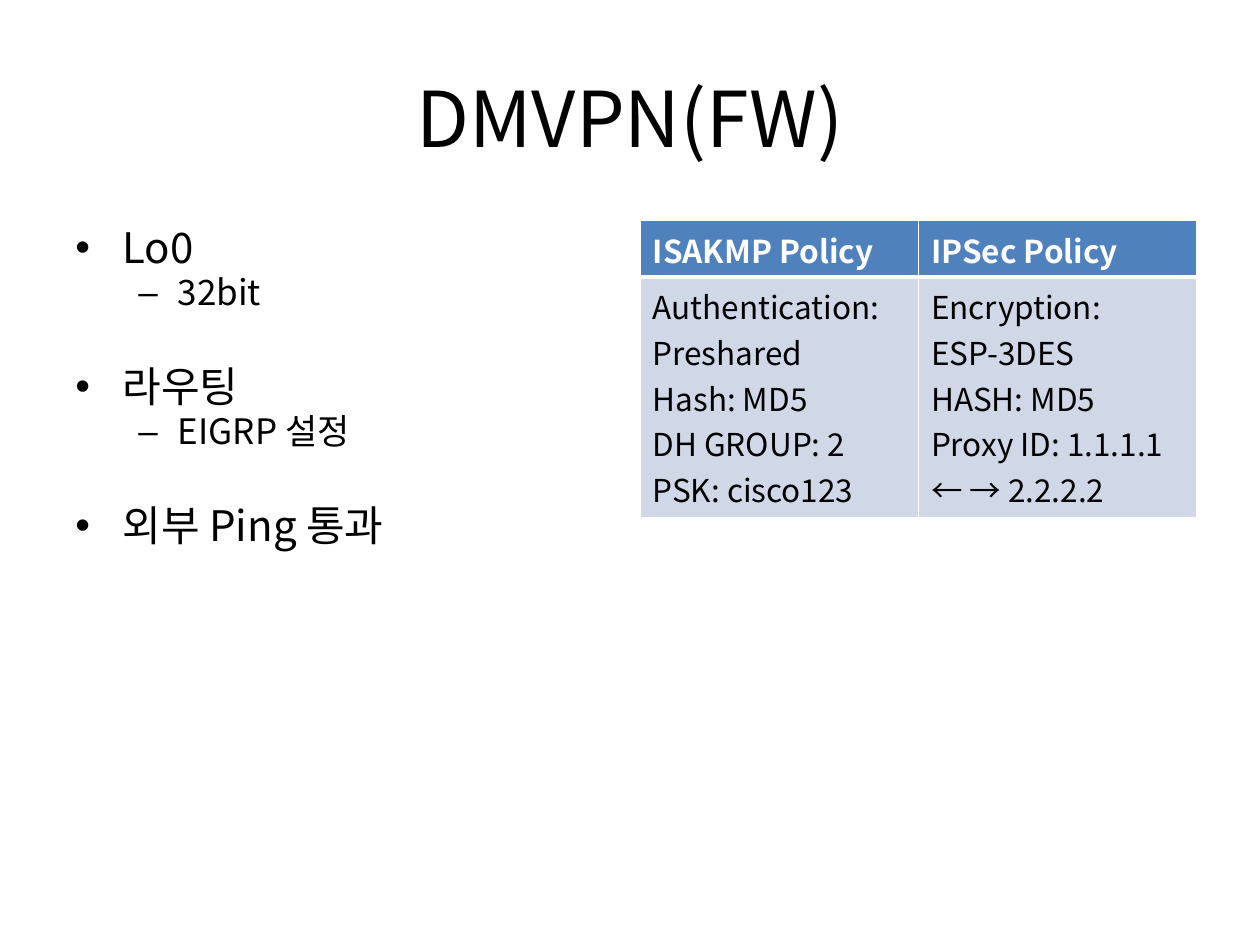
from lxml import etree
from pptx import Presentation
from pptx.dml.color import RGBColor
from pptx.enum.text import MSO_ANCHOR, PP_ALIGN
from pptx.oxml.ns import qn
from pptx.util import Emu, Inches, Pt

BLACK = RGBColor(0x00, 0x00, 0x00)
WHITE = RGBColor(0xFF, 0xFF, 0xFF)
BLUE = RGBColor(0x4F, 0x81, 0xBD)
PALE = RGBColor(0xD0, 0xD8, 0xE8)

# Per outline level: size, bullet, left margin and hanging indent in inches
LEVELS = [(24, "•", 0.375, 0.375), (20, "–", 0.8125, 0.3125)]
SECTION_GAP = 30

TOPICS = [("Lo0", ["32bit"]), ("라우팅", ["EIGRP 설정"]), ("외부 Ping 통과", [])]
POLICIES = [
    ("ISAKMP Policy", ["Authentication: Preshared", "Hash: MD5",
                       "DH GROUP: 2", "PSK: cisco123"]),
    ("IPSec Policy", ["Encryption: ESP-3DES", "HASH: MD5",
                      "Proxy ID: 1.1.1.1 ← → 2.2.2.2"]),
]


class Deck:
    font = "Noto Sans CJK KR"

    def __init__(self, width, height):
        self.prs = Presentation()
        self.prs.slide_width, self.prs.slide_height = Inches(width), Inches(height)
        self.s = self.prs.slides.add_slide(self.prs.slide_layouts[6])

    def place(self, x, y, w, h):
        """Turn shares of the slide into lengths."""
        sw, sh = self.prs.slide_width, self.prs.slide_height
        return [Emu(round(n)) for n in (x * sw, y * sh, w * sw, h * sh)]

    def style(self, p, size, color=BLACK, bold=False):
        for r in p.runs:
            f = r.font
            f.name, f.size, f.bold = self.font, Pt(size), bold
            f.color.rgb = color
            etree.SubElement(r._r.get_or_add_rPr(), qn("a:ea"), typeface=self.font)

    def box(self, *area):
        tf = self.s.shapes.add_textbox(*self.place(*area)).text_frame
        tf.word_wrap = True
        return tf

    def title(self, text, *area):
        tf = self.box(*area)
        tf.vertical_anchor = MSO_ANCHOR.MIDDLE
        tf.text = text
        p = tf.paragraphs[0]
        p.alignment = PP_ALIGN.CENTER
        self.style(p, 44)

    def outline(self, topics, *area):
        tf = self.box(*area)
        items = [(level, text) for head, subs in topics
                 for level, text in [(0, head)] + [(1, sub) for sub in subs]]
        for i, (level, text) in enumerate(items):
            p = tf.add_paragraph() if i else tf.paragraphs[0]
            size, bullet, margin, hang = LEVELS[level]
            p.text, p.level = text, level
            pPr = p._p.get_or_add_pPr()
            pPr.set("marL", str(Inches(margin)))
            pPr.set("indent", str(-Inches(hang)))
            etree.SubElement(pPr, qn("a:buFont"), typeface="Arial")
            etree.SubElement(pPr, qn("a:buChar"), char=bullet)
            p.line_spacing = 0.9
            if i:
                p.space_before = Pt(2 if level else SECTION_GAP)
            self.style(p, size)

    def cell(self, cell, lines, fill, color, bold, borders):
        cell.text = "\n".join(lines)
        for p in cell.text_frame.paragraphs:
            self.style(p, 18, color, bold)
        cell.fill.solid()
        cell.fill.fore_color.rgb = fill
        tcPr = cell._tc.get_or_add_tcPr()
        for i, (side, width) in enumerate(borders.items()):
            ln = etree.Element(qn(f"a:ln{side}"), w=str(Pt(width)))
            line = etree.SubElement(ln, qn("a:solidFill"))
            etree.SubElement(line, qn("a:srgbClr"), val=str(WHITE))
            tcPr.insert(i, ln)

    def table(self, columns, *area):
        x, y, w, h = self.place(*area)
        t = self.s.shapes.add_table(2, len(columns), x, y, w, h).table
        for row, share in zip(t.rows, (0.19, 0.81)):
            row.height = Emu(round(h * share))
        for c, (head, lines) in enumerate(columns):
            self.cell(t.cell(0, c), [head], BLUE, WHITE, True,
                      {"L": 1, "R": 1, "T": 1, "B": 3})
            self.cell(t.cell(1, c), lines, PALE, BLACK, False,
                      {"L": 1, "R": 1, "T": 3, "B": 1})


def main():
    deck = Deck(10, 7.5)
    # Title across the top
    deck.title("DMVPN(FW)", 0.05, 0.04, 0.9, 1 / 6)
    # Two equal columns: outline and policy table
    margin, top, col = 0.05, 0.7 / 3, 0.442
    deck.outline(TOPICS, margin, top, col, 0.66)
    deck.table(POLICIES, 1 - margin - col, top, col, 0.315)
    deck.prs.save("out.pptx")


if __name__ == "__main__":
    main()
